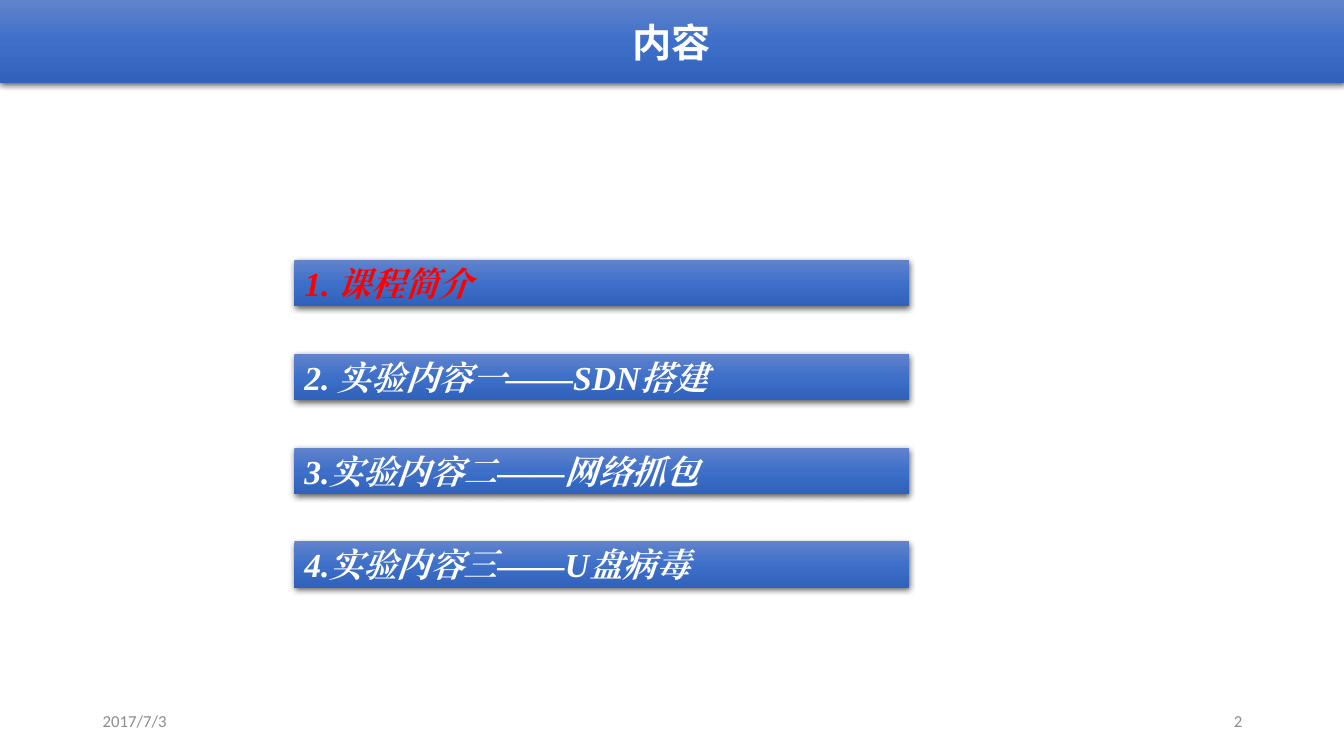
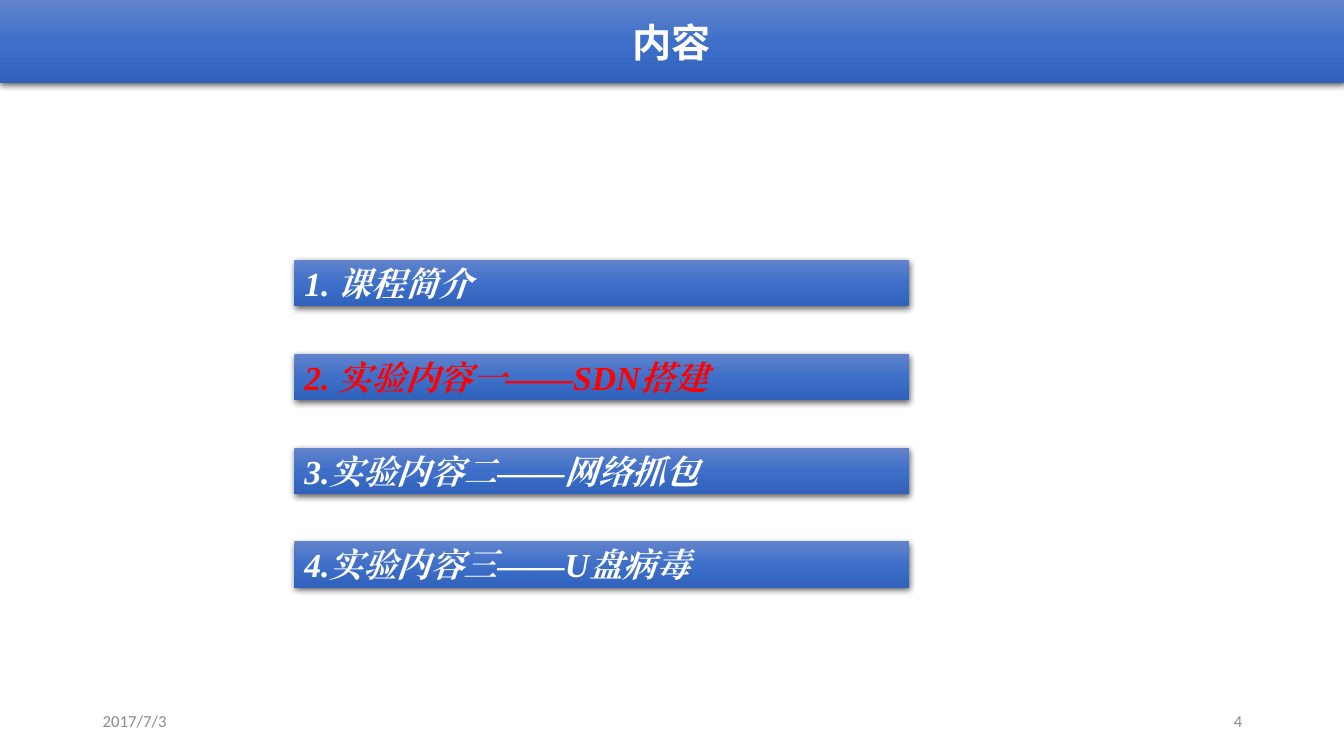
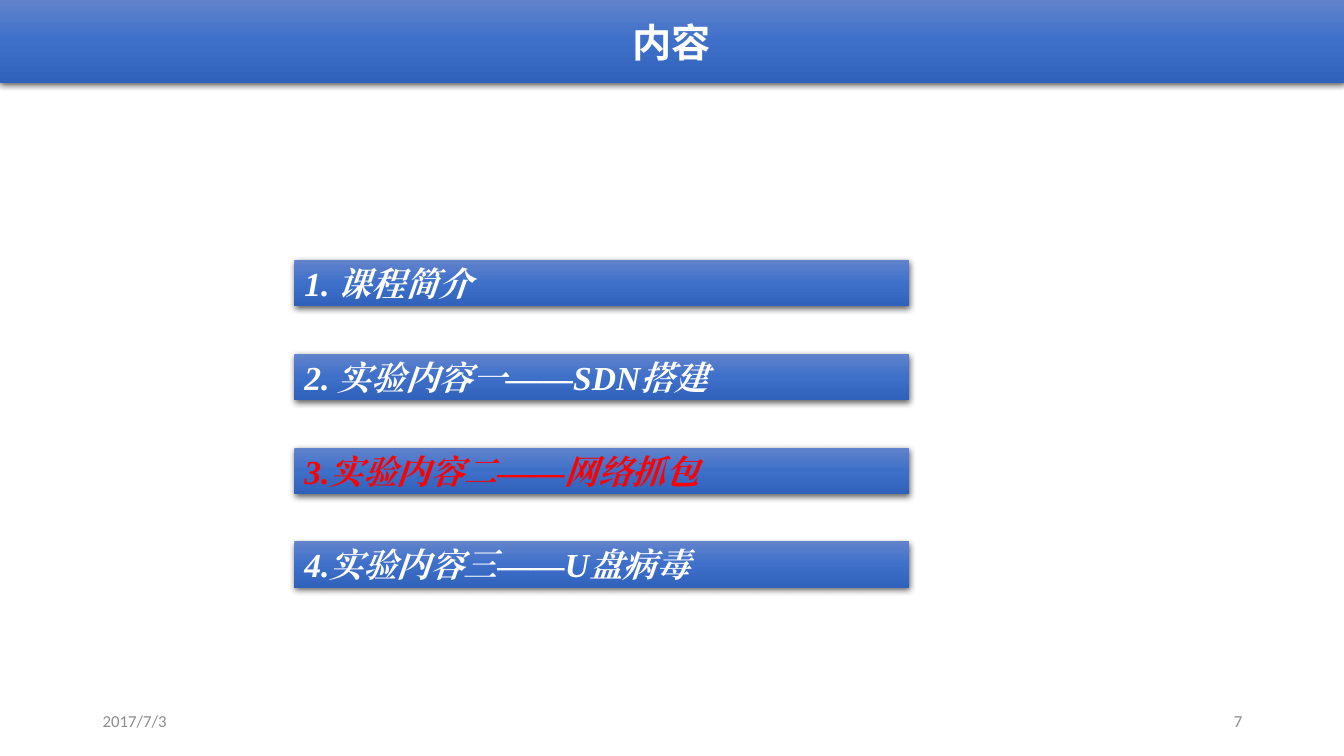
from lxml.etree import SubElement
from pptx import Presentation
from pptx.dml.color import RGBColor
from pptx.enum.shapes import MSO_SHAPE
from pptx.enum.text import MSO_ANCHOR as Anchor, PP_ALIGN as Align
from pptx.oxml.ns import qn
from pptx.util import Inches, Pt

WHITE, RED, GREY = "FFFFFF", "FF0000", "8C8C8C"
BAND_STOPS = [(0, "6183CB"), (50, "3E70CA"), (100, "3062BB")]
HEADING_FONT, TOPIC_FONT = "Calibri", "Times New Roman"
SLIDE_WIDTH, SLIDE_HEIGHT = 13.33, 7.5
TOPIC_TOP, TOPIC_PITCH = 2.58, 0.93
TITLE = "内容"
DATE = "2017/7/3"
TOPICS = [
    "1. 课程简介",
    "2. 实验内容一——SDN搭建",
    "3.实验内容二——网络抓包",
    "4.实验内容三——U盘病毒",
]
AGENDAS = [(2, 0), (4, 1), (7, 2)]


def rgb(value):
    return RGBColor.from_string(value)


def add_color(parent, value):
    color = SubElement(parent, qn("a:srgbClr"))
    color.set("val", value)
    return color


def fill_gradient(shape):
    shape.fill.gradient()
    shape.fill.gradient_angle = 270
    stops = shape._element.spPr.find(qn("a:gradFill")).find(qn("a:gsLst"))
    for stop in list(stops):
        stops.remove(stop)
    for percent, value in BAND_STOPS:
        stop = SubElement(stops, qn("a:gs"))
        stop.set("pos", str(percent * 1000))
        add_color(stop, value)


def add_shadow(shape):
    shape.shadow.inherit = False
    effects = shape._element.spPr.find(qn("a:effectLst"))
    shadow = SubElement(effects, qn("a:outerShdw"))
    shadow.set("blurRad", str(Pt(4.5)))
    shadow.set("dist", str(Pt(1.5)))
    shadow.set("dir", "5400000")
    shadow.set("algn", "ctr")
    shadow.set("rotWithShape", "0")
    SubElement(add_color(shadow, "000000"), qn("a:alpha")).set("val", "63000")


def write_text(shape, text, size, color, face=HEADING_FONT, align=Align.LEFT,
               bold=False, italic=False):
    frame = shape.text_frame
    frame.word_wrap = True
    frame.vertical_anchor = Anchor.MIDDLE
    paragraph = frame.paragraphs[0]
    paragraph.text = text
    paragraph.alignment = align
    font = paragraph.font
    font.size = Pt(size)
    font.name = face
    font.bold = bold
    font.italic = italic
    font.color.rgb = rgb(color)
    defaults = paragraph._p.get_or_add_pPr().find(qn("a:defRPr"))
    SubElement(defaults, qn("a:ea")).set("typeface", face)


def add_band(slide, left, top, width, height, text, **style):
    band = slide.shapes.add_shape(
        MSO_SHAPE.RECTANGLE, Inches(left), Inches(top), Inches(width), Inches(height))
    fill_gradient(band)
    band.line.fill.background()
    add_shadow(band)
    write_text(band, text, bold=True, **style)


def add_footer(slide, left, text, align):
    footer = slide.shapes.add_textbox(
        Inches(left), Inches(6.95), Inches(3), Inches(0.4))
    write_text(footer, text, 12, GREY, align=align)


def add_agenda(deck, page, current):
    slide = deck.slides.add_slide(deck.slide_layouts[6])
    add_band(slide, 0, 0, SLIDE_WIDTH, 0.82, TITLE,
             size=28, color=WHITE, align=Align.CENTER)
    for index, topic in enumerate(TOPICS):
        add_band(slide, 2.92, TOPIC_TOP + index * TOPIC_PITCH, 6.1, 0.46, topic,
                 size=24, color=RED if index == current else WHITE,
                 face=TOPIC_FONT, italic=True)
    add_footer(slide, 0.92, DATE, Align.LEFT)
    add_footer(slide, 9.42, str(page), Align.RIGHT)


def main():
    deck = Presentation()
    deck.slide_width = Inches(SLIDE_WIDTH)
    deck.slide_height = Inches(SLIDE_HEIGHT)
    for page, current in AGENDAS:
        add_agenda(deck, page, current)
    deck.save("out.pptx")


main()
